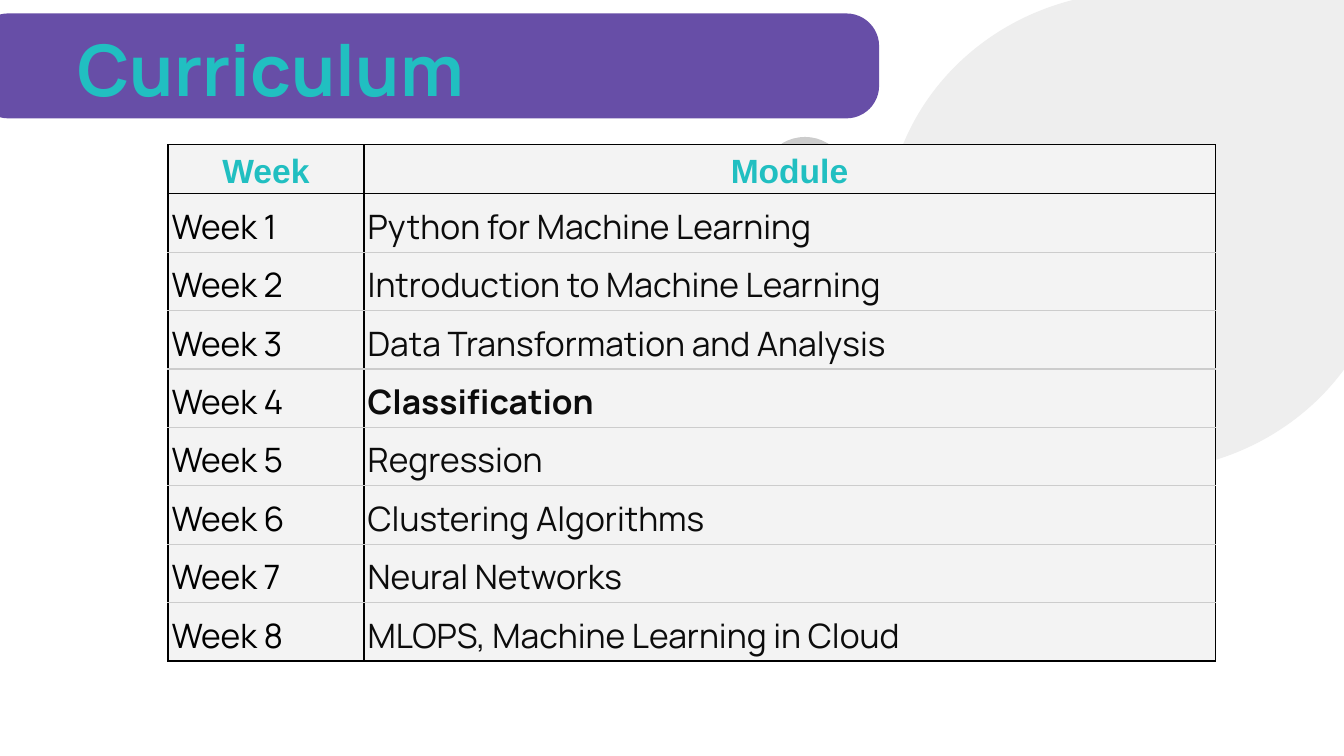
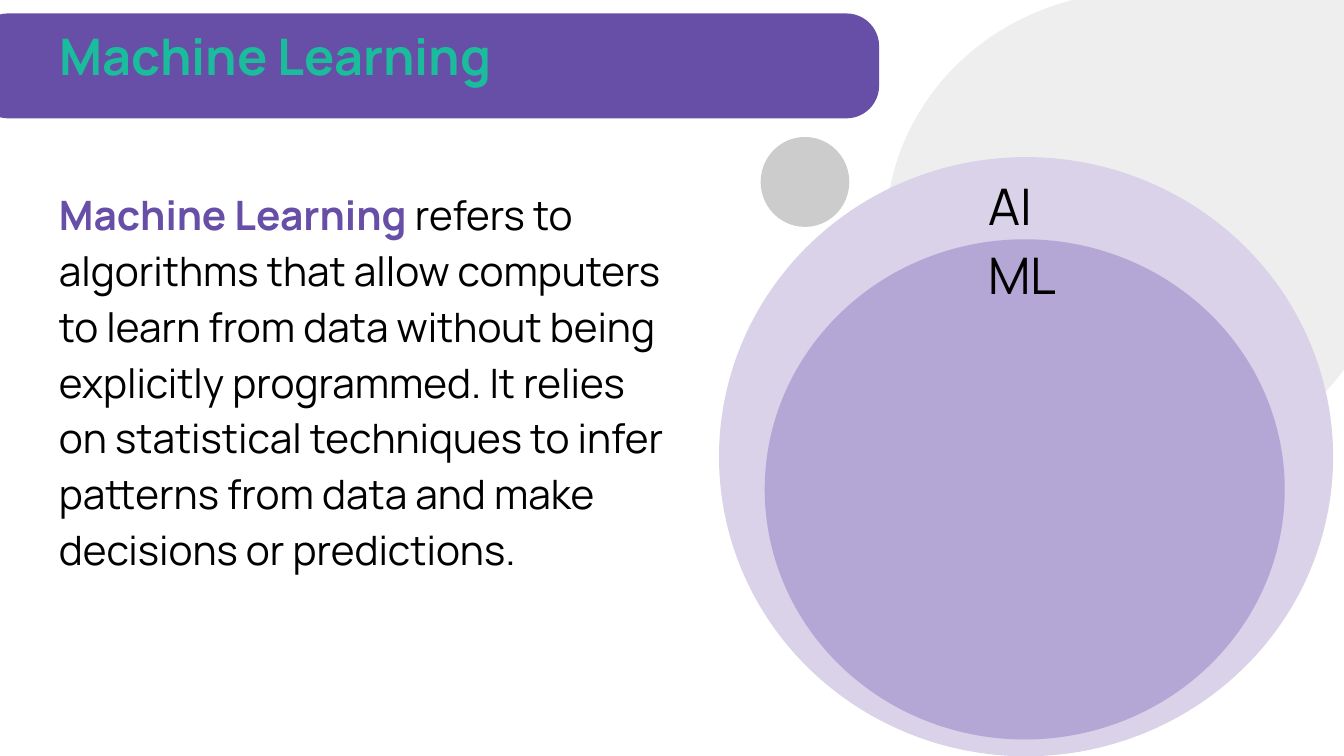
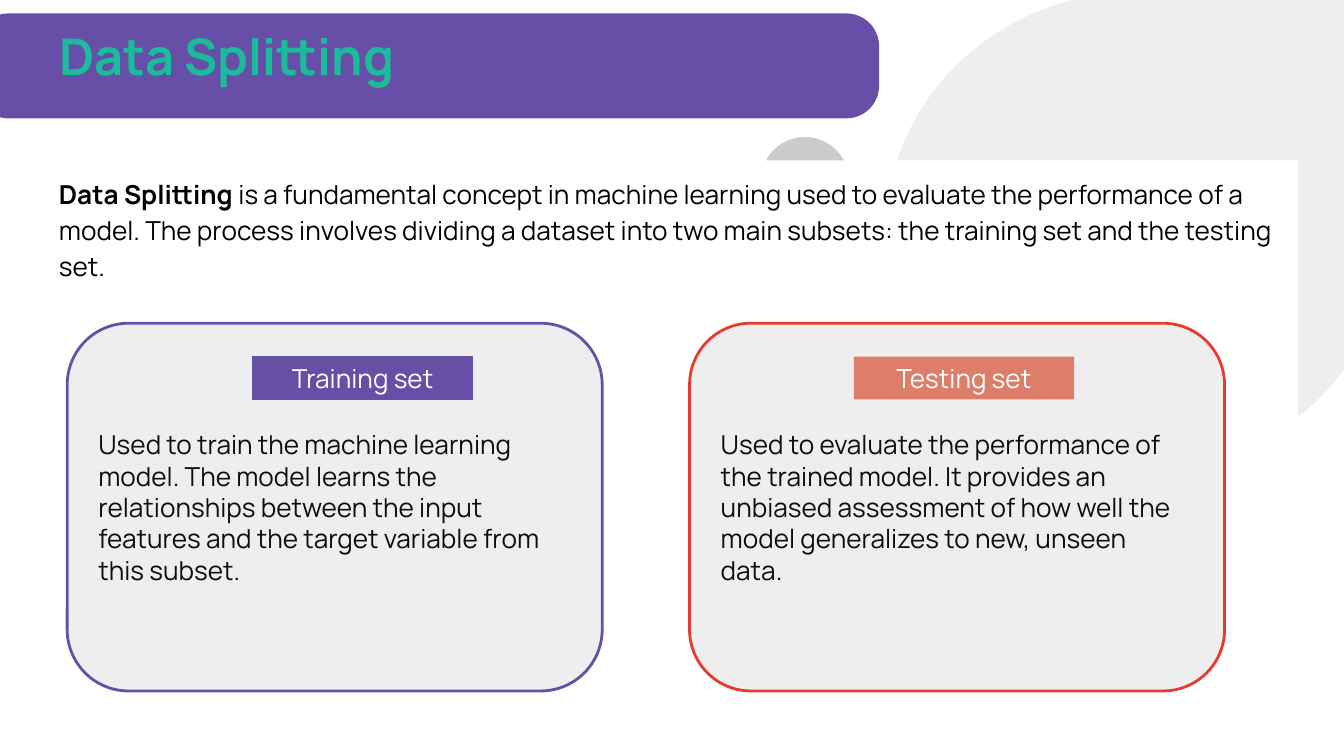
from dataclasses import dataclass
from typing import NamedTuple

from lxml import etree
from pptx import Presentation
from pptx.dml.color import RGBColor
from pptx.enum import shapes, text
from pptx.oxml import ns
from pptx.util import Pt

FONT = "Manrope"
PURPLE, TEAL, GREEN = "674EA7", "21BFC1", "1ABC9C"
LILAC, PALE_LILAC = "B4A7D6", "D9D2E9"
RED, CORAL = "E63C2F", "DD7E6B"
BLACK, INK, NEAR_BLACK, WHITE = "000000", "0C0C0C", "0D0D0D", "FFFFFF"
PALE_GREY, CELL_GREY, GREY = "EEEEEE", "F3F3F3", "CCCCCC"

KINDS = shapes.MSO_SHAPE
LEFT, CENTER = text.PP_ALIGN.LEFT, text.PP_ALIGN.CENTER
TOP, MIDDLE, BOTTOM = text.MSO_ANCHOR.TOP, text.MSO_ANCHOR.MIDDLE, text.MSO_ANCHOR.BOTTOM


class Box(NamedTuple):
    left: float
    top: float
    width: float
    height: float

    def lengths(self) -> list:
        return [Pt(v) for v in self]


class Run(NamedTuple):
    words: str
    size: float
    color: str
    bold: bool = False
    font: str = FONT


@dataclass
class Figure:
    kind: shapes.MSO_SHAPE
    box: Box
    fill: str
    line: str | None = None
    weight: float = 1.5
    adjust: float | None = None


@dataclass
class Panel:
    left: float
    label_left: float
    line: str
    label_fill: str
    label_line: str | None
    label: str
    words: str


DECOR = [
    Figure(KINDS.TEAR, Box(474.5, -4.3, 270, 257), PALE_GREY, adjust=0.98),
    Figure(KINDS.OVAL, Box(407.5, 73.4, 47.5, 48.2), GREY),
    Figure(KINDS.ROUNDED_RECTANGLE, Box(-13, 7.2, 484, 56.2), PURPLE, adjust=0.311),
]
TITLE_BOX = Box(24.5, 6.5, 671, 45.4)

MODULES = [
    "Python for Machine Learning",
    "Introduction to Machine Learning",
    "Data Transformation and Analysis",
    "Classification",
    "Regression",
    "Clustering Algorithms",
    "Neural Networks",
    "MLOPS, Machine Learning in Cloud",
]
CURRENT_MODULE = "Classification"
COLUMN_WIDTHS = [105, 456]
HEADER_HEIGHT, ROW_HEIGHT = 26.2, 31.3

PANELS = [
    Panel(36, 135.3, PURPLE, PURPLE, PURPLE, "Training set",
          "Used to train the machine learning model. The model learns the "
          "relationships between the input features and the target variable "
          "from this subset."),
    Panel(369.4, 457.4, RED, CORAL, None, "Testing set",
          "Used to evaluate the performance of the trained model. It provides "
          "an unbiased assessment of how well the model generalizes to new, "
          "unseen data."),
]


def rgb(value: str) -> RGBColor:
    return RGBColor.from_string(value)


def set_all(target, values: dict) -> None:
    for name, value in values.items():
        setattr(target, name, value)


def write(tf, runs: list[Run], align=LEFT, anchor=TOP, inset: float = 7.2,
          spacing: float = 1.0) -> None:
    set_all(tf, {"word_wrap": True, "auto_size": text.MSO_AUTO_SIZE.NONE,
                 "vertical_anchor": anchor, "margin_left": Pt(inset),
                 "margin_right": Pt(inset), "margin_top": Pt(inset),
                 "margin_bottom": Pt(inset)})
    write_paragraph(tf.paragraphs[0], runs, align, spacing)


def write_paragraph(p, runs: list[Run], align, spacing: float) -> None:
    set_all(p, {"alignment": align, "line_spacing": spacing})
    for run in runs:
        r = p.add_run()
        r.text = run.words
        set_all(r.font, {"name": run.font, "size": Pt(run.size), "bold": run.bold})
        r.font.color.rgb = rgb(run.color)


def draw(s, figure: Figure):
    sp = s.shapes.add_shape(figure.kind, *figure.box.lengths())
    sp.shadow.inherit = False
    sp.fill.solid()
    sp.fill.fore_color.rgb = rgb(figure.fill)
    if figure.line:
        sp.line.color.rgb = rgb(figure.line)
        sp.line.width = Pt(figure.weight)
    else:
        sp.line.fill.background()
    if figure.adjust is not None:
        sp.adjustments[0] = figure.adjust
    return sp


def add_text(s, box: Box, runs: list[Run], **layout) -> None:
    write(s.shapes.add_textbox(*box.lengths()).text_frame, runs, **layout)


def add_slide(prs, title: Run, box: Box = TITLE_BOX, align=LEFT):
    s = prs.slides.add_slide(prs.slide_layouts[5])
    sp = s.shapes.title
    set_all(sp, dict(zip(("left", "top", "width", "height"), box.lengths())))
    write(sp.text_frame, [title], align)
    return s


def move_decor_to_layout(s) -> None:
    """Draw the shared shapes and hand them to the layout, behind its placeholders."""
    tree = s.slide_layout.shapes.element
    for i, figure in enumerate(DECOR):
        element = draw(s, figure).element
        element.nvSpPr.cNvPr.set("id", str(100 + i))
        tree.insert(2 + i, element)


def set_borders(cell, colors: dict[str, str]) -> None:
    tc_pr = cell._tc.get_or_add_tcPr()
    for side, color in colors.items():
        line = etree.SubElement(tc_pr, ns.qn(f"a:ln{side}"), w=str(Pt(0.75)))
        fill = etree.SubElement(line, ns.qn("a:solidFill"))
        etree.SubElement(fill, ns.qn("a:srgbClr"), val=color)


def fill_cell(cell, run: Run, align, borders: dict[str, str]) -> None:
    set_borders(cell, borders)
    cell.fill.solid()
    cell.fill.fore_color.rgb = rgb(CELL_GREY)
    set_all(cell, {"vertical_anchor": BOTTOM, "margin_left": Pt(2),
                   "margin_right": Pt(2), "margin_top": Pt(1.5),
                   "margin_bottom": Pt(1.5)})
    write_paragraph(cell.text_frame.paragraphs[0], [run], align, 1.15)


def curriculum_slide(prs) -> None:
    s = add_slide(prs, Run("Curriculum", 38, TEAL, True), Box(0.7, 6.5, 288.7, 45.4), CENTER)
    move_decor_to_layout(s)

    rows = [[Run(head, 18, TEAL, True, "Arial") for head in ("Week", "Module")]]
    rows += [[Run(f"Week {week}", 18, BLACK),
              Run(module, 18, INK, module == CURRENT_MODULE)]
             for week, module in enumerate(MODULES, 1)]
    box = Box(90, 77.6, sum(COLUMN_WIDTHS), HEADER_HEIGHT + ROW_HEIGHT * len(MODULES))
    table = s.shapes.add_table(len(rows), len(COLUMN_WIDTHS), *box.lengths()).table
    set_all(table, {"first_row": False, "horz_banding": False})
    for column, width in zip(table.columns, COLUMN_WIDTHS):
        column.width = Pt(width)
    last = len(rows) - 1
    for i, row in enumerate(rows):
        table.rows[i].height = Pt(ROW_HEIGHT if i else HEADER_HEIGHT)
        borders = {"L": BLACK, "R": BLACK, "T": BLACK if i <= 1 else GREY,
                   "B": BLACK if i in (0, last) else GREY}
        for j, run in enumerate(row):
            fill_cell(table.cell(i, j), run, LEFT if i else CENTER, borders)


def machine_learning_slide(prs) -> None:
    s = add_slide(prs, Run("Machine Learning", 27, GREEN, True))
    add_text(s, Box(24.5, 90.7, 341.3, 269.3), [
        Run("Machine Learning", 21.7, PURPLE, True),
        Run(" refers to algorithms that allow computers to learn from data without "
            "being explicitly programmed. It relies on statistical techniques to "
            "infer patterns from data and make decisions or predictions.", 21.7, BLACK),
    ], spacing=1.15)
    draw(s, Figure(KINDS.OVAL, Box(385.2, 84.2, 329, 321), PALE_LILAC))
    draw(s, Figure(KINDS.OVAL, Box(409.7, 128.2, 278.6, 268), LILAC))
    for name, left, top, align in (("ML", 520.6, 121.7, LEFT), ("AI", 512.6, 85, CENTER)):
        add_text(s, Box(left, top, 57.6, 51.8), [Run(name, 27, BLACK)], align=align, inset=9)


def data_splitting_slide(prs) -> None:
    s = add_slide(prs, Run("Data Splitting", 27, GREEN, True))
    intro = draw(s, Figure(KINDS.RECTANGLE, Box(24.5, 85.9, 671, 269.3), WHITE))
    write(intro.text_frame, [
        Run("Data Splitting", 14, BLACK, True),
        Run(" is a fundamental concept in machine learning used to evaluate the "
            "performance of a model. The process involves dividing a dataset into two "
            "main subsets: the training set and the testing set.", 14, BLACK),
    ], spacing=1.15)
    for panel in PANELS:
        card = draw(s, Figure(KINDS.ROUNDED_RECTANGLE, Box(panel.left, 173.2, 286.6, 197),
                              PALE_GREY, panel.line, adjust=0.167))
        write(card.text_frame, [Run(panel.words, 14, NEAR_BLACK)], anchor=MIDDLE)
        label = draw(s, Figure(KINDS.RECTANGLE, Box(panel.label_left, 191, 118, 23),
                               panel.label_fill, panel.label_line, 0.75))
        write(label.text_frame, [Run(panel.label, 14, WHITE)], CENTER, MIDDLE)


def main() -> None:
    prs = Presentation()
    set_all(prs, {"slide_width": Pt(720), "slide_height": Pt(405)})
    curriculum_slide(prs)
    machine_learning_slide(prs)
    data_splitting_slide(prs)
    prs.save("out.pptx")


if __name__ == "__main__":
    main()
